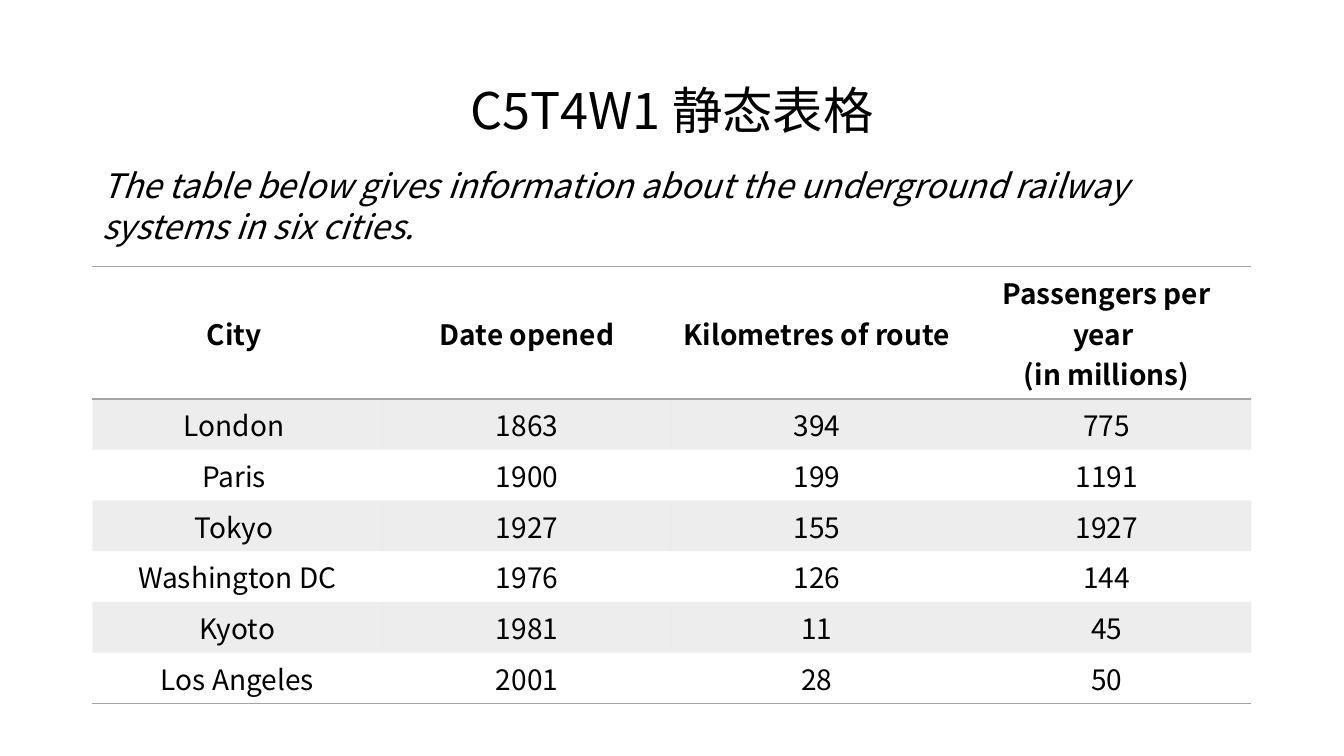
from lxml import etree
from pptx import Presentation
from pptx.dml.color import RGBColor
from pptx.enum.text import MSO_ANCHOR, PP_ALIGN
from pptx.oxml.ns import qn
from pptx.util import Pt

CENTER, LEFT = PP_ALIGN.CENTER, PP_ALIGN.LEFT
MIDDLE, TOP = MSO_ANCHOR.MIDDLE, MSO_ANCHOR.TOP
FONT = "Noto Sans CJK SC"
BLACK, GREY = "000000", "A5A5A5"
MARGIN, WIDTH = 66, 828
HEADER_HEIGHT, ROW_HEIGHT = 94.5, 36.25


def color(hex_string):
    return RGBColor.from_string(hex_string)


def write(frame, text, align, spacing, **font_format):
    frame.word_wrap = True
    frame.text = text
    for paragraph in frame.paragraphs:
        paragraph.alignment = align
        paragraph.line_spacing = spacing
        for run in paragraph.runs:
            run.font.name = FONT
            run.font.color.rgb = color(BLACK)
            for key, value in font_format.items():
                setattr(run.font, key, value)
            east_asian = etree.SubElement(run.font._element, qn("a:ea"))
            east_asian.set("typeface", FONT)


prs = Presentation()
prs.slide_width, prs.slide_height = Pt(960), Pt(540)
slide = prs.slides.add_slide(prs.slide_layouts[6])

headings = [
    ("C5T4W1 静态表格", 28.8, 104.4, MIDDLE, CENTER, 0.9, {"size": Pt(36)}),
    ("The table below gives information about the underground railway systems in six cities.",
     114.5, 65.5, TOP, LEFT, None, {"size": Pt(24), "italic": True}),
]
for text, top, height, anchor, align, spacing, font_format in headings:
    heading = slide.shapes.add_textbox(Pt(MARGIN), Pt(top), Pt(WIDTH), Pt(height))
    heading.text_frame.vertical_anchor = anchor
    write(heading.text_frame, text, align, spacing, **font_format)

railways = [
    ("City ", "Date opened", "Kilometres of route", "Passengers per year \n(in millions)"),
    ("London ", "1863", "394", "775"),
    ("Paris ", "1900", "199", "1191"),
    ("Tokyo ", "1927", "155", "1927"),
    ("Washington DC", "1976", "126", "144"),
    ("Kyoto", "1981", "11", "45"),
    ("Los Angeles", "2001", "28", "50"),
]
last = len(railways) - 1
table = slide.shapes.add_table(
    len(railways), len(railways[0]), Pt(MARGIN), Pt(190.5), Pt(WIDTH),
    Pt(HEADER_HEIGHT + last * ROW_HEIGHT)).table
table.first_row = table.horz_banding = False

for r, values in enumerate(railways):
    table.rows[r].height = Pt(ROW_HEIGHT if r else HEADER_HEIGHT)
    ruled = {"a:lnT": r in (0, 1), "a:lnB": r in (0, last)}
    for c, value in enumerate(values):
        cell = table.cell(r, c)
        cell.vertical_anchor = MIDDLE
        write(cell.text_frame, value, CENTER, None, size=Pt(20), bold=r == 0)
        properties = cell._tc.get_or_add_tcPr()
        for side in ("a:lnL", "a:lnR", "a:lnT", "a:lnB"):
            border = etree.SubElement(properties, qn(side), w=str(Pt(1)))
            if ruled.get(side):
                paint = etree.SubElement(border, qn("a:solidFill"))
                etree.SubElement(paint, qn("a:srgbClr"), val=GREY)
            else:
                etree.SubElement(border, qn("a:noFill"))
        if r % 2:
            cell.fill.solid()
            cell.fill.fore_color.rgb = color(GREY)
            shade = properties.find(qn("a:solidFill")).find(qn("a:srgbClr"))
            etree.SubElement(shade, qn("a:alpha"), val="20000")
        else:
            cell.fill.background()

prs.save("out.pptx")
